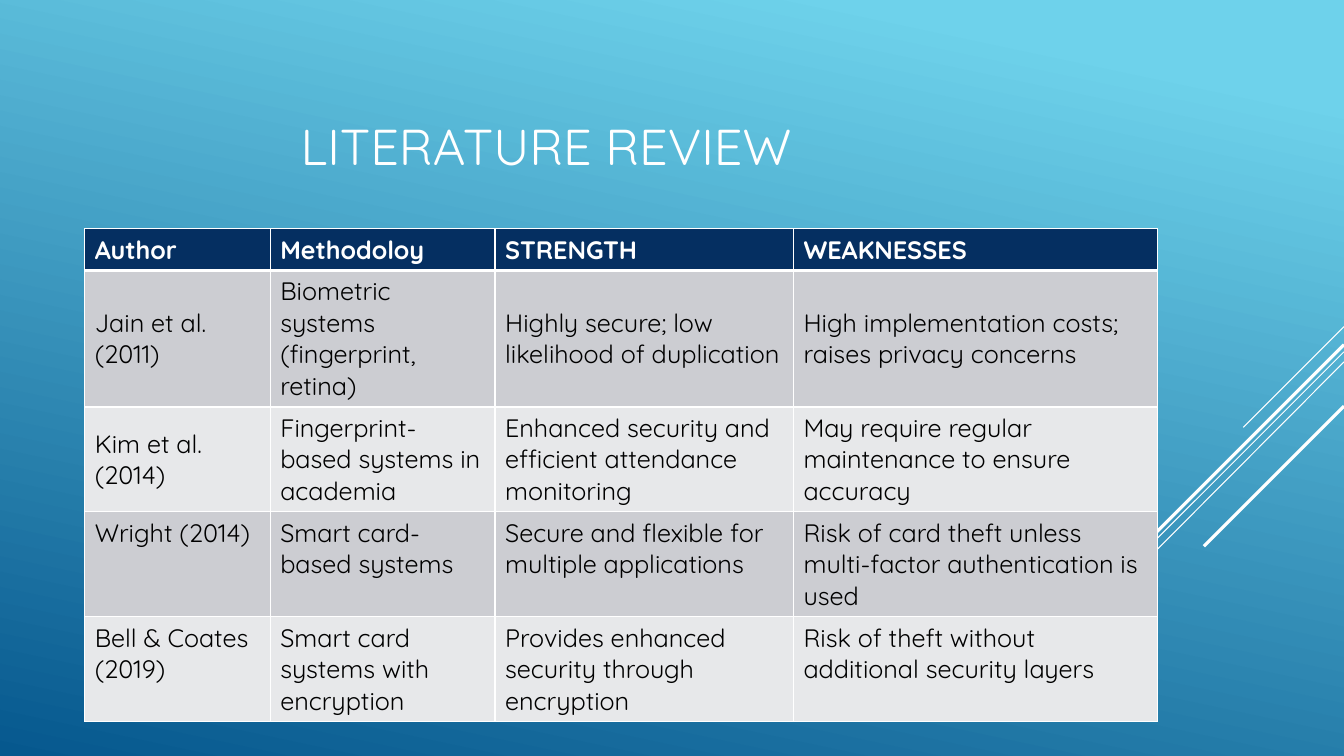
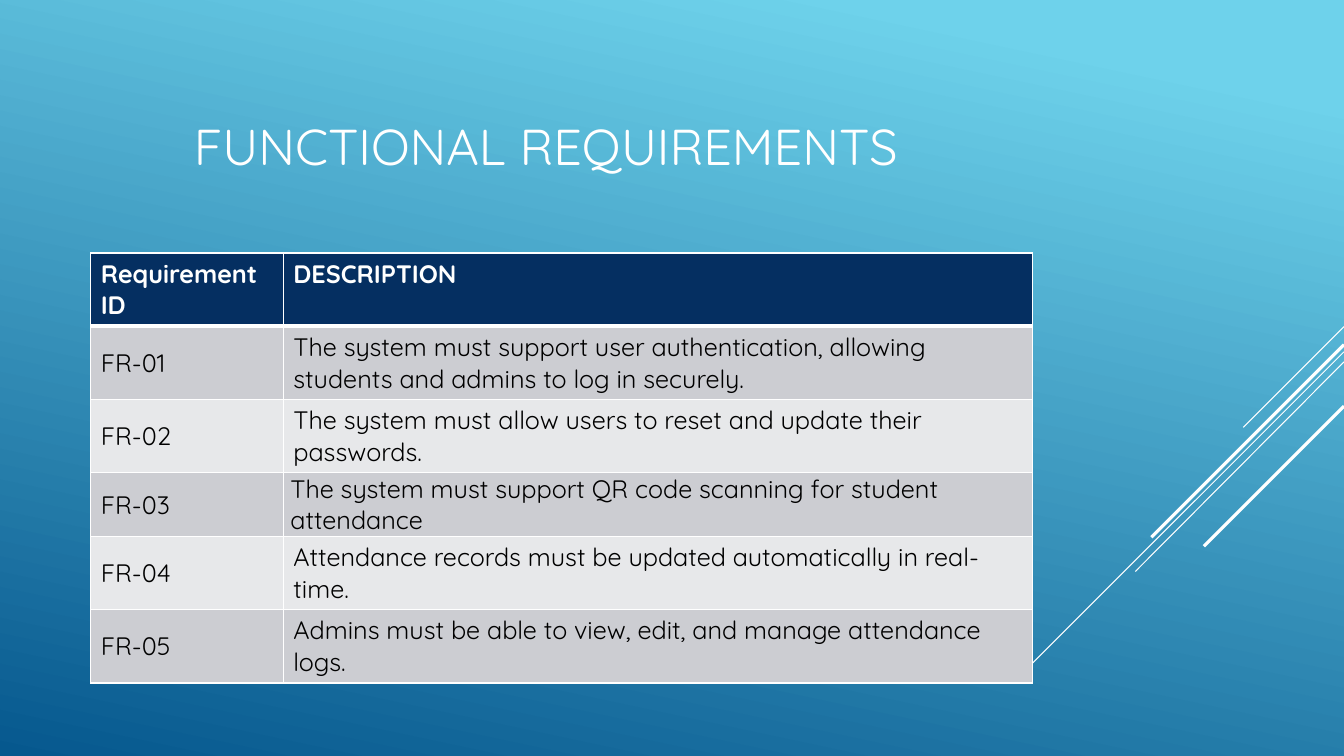
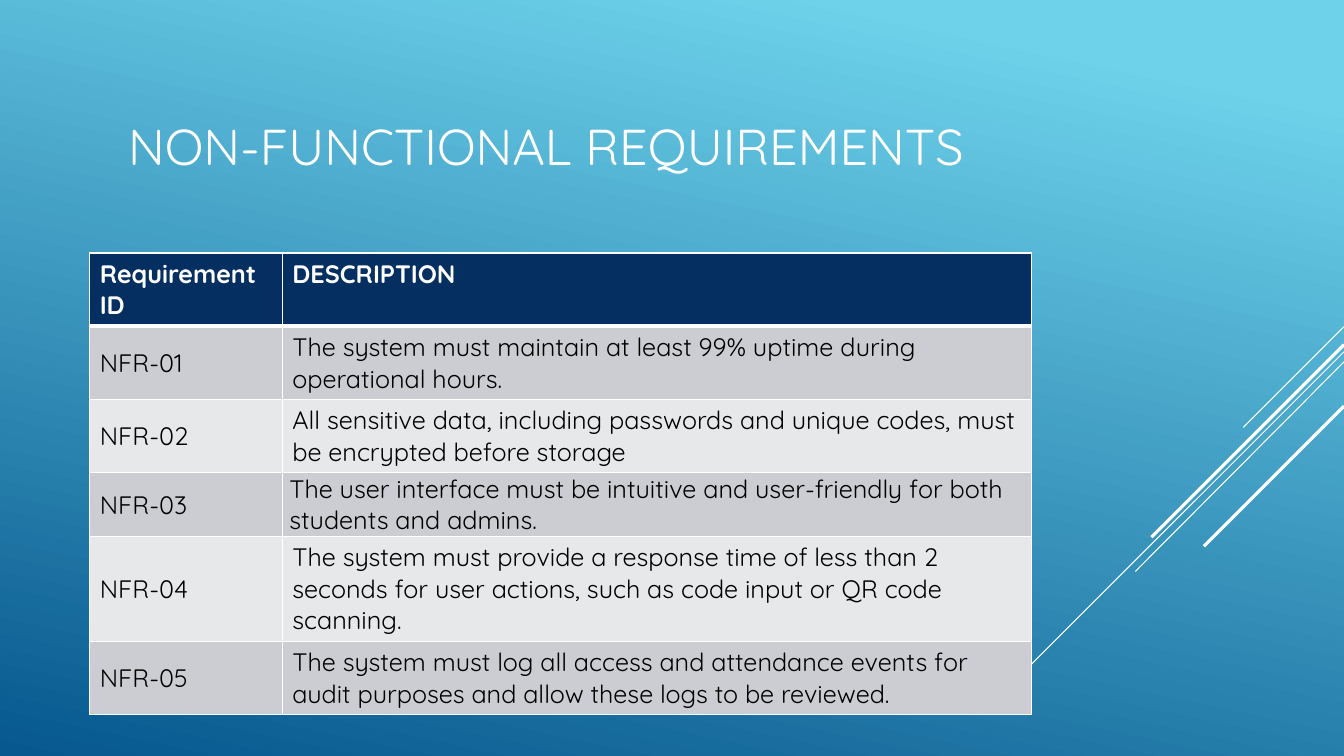
from lxml import etree
from pptx import Presentation
from pptx.dml.color import RGBColor
from pptx.enum.shapes import MSO_CONNECTOR
from pptx.enum.text import MSO_ANCHOR, MSO_AUTO_SIZE, PP_ALIGN
from pptx.oxml.ns import qn
from pptx.util import Pt

WHITE = RGBColor(0xFF, 0xFF, 0xFF)
BLACK = RGBColor(0x00, 0x00, 0x00)
NAVY = RGBColor(0x05, 0x2F, 0x61)
BAND_DARK = RGBColor(0xCC, 0xCD, 0xD2)
BAND_LIGHT = RGBColor(0xE7, 0xE8, 0xEA)
SKY = RGBColor(0x6E, 0xD2, 0xEB)
OCEAN = RGBColor(0x06, 0x58, 0x8E)

STRAIGHT = MSO_CONNECTOR.STRAIGHT
TOP, MIDDLE = MSO_ANCHOR.TOP, MSO_ANCHOR.MIDDLE
CENTER = PP_ALIGN.CENTER
NO_AUTOFIT = MSO_AUTO_SIZE.NONE

FONT = "Quicksand"
EMU_PER_PX = 9144
SLIDE_WIDTH, SLIDE_HEIGHT = 1333, 750
TITLE_ONLY = 5
RAYS = [
    (324, 1233, 424, 0.75),
    (349, 1007, 675, 0.75),
    (359, 1126, 567, 0.75),
    (342, 1142, 533, 2.25),
    (403, 1194, 542, 2.25),
]

LITERATURE = [
    ["Author", "Methodoloy", "STRENGTH", "WEAKNESSES"],
    ["Jain et al. (2011)", "Biometric systems (fingerprint, retina)",
     "Highly secure; low likelihood of duplication",
     "High implementation costs; raises privacy concerns"],
    ["Kim et al. (2014)", "Fingerprint-based systems in academia",
     "Enhanced security and efficient attendance monitoring",
     "May require regular maintenance to ensure accuracy"],
    ["Wright (2014)", "Smart card-based systems",
     "Secure and flexible for multiple applications",
     "Risk of card theft unless multi-factor authentication is used"],
    ["Bell & Coates (2019)", "Smart card systems with encryption",
     "Provides enhanced security through encryption",
     "Risk of theft without additional security layers"],
]
FUNCTIONAL = [
    "The system must support user authentication, allowing students and admins to log in securely.",
    "The system must allow users to reset and update their passwords.",
    "The system must support QR code scanning for student attendance",
    "Attendance records must be updated automatically in real-time.",
    "Admins must be able to view, edit, and manage attendance logs.",
]
NON_FUNCTIONAL = [
    "The system must maintain at least 99% uptime during operational hours.",
    "All sensitive data, including passwords and unique codes, must be encrypted before storage",
    "The user interface must be intuitive and user-friendly for both students and admins.",
    "The system must provide a response time of less than 2 seconds for user actions, "
    "such as code input or QR code scanning.",
    "The system must log all access and attendance events for audit purposes "
    "and allow these logs to be reviewed.",
]


def px(length):
    """Convert px to EMU."""
    return length * EMU_PER_PX


class Deck:
    """Hold the shared style and the current slide."""

    def __init__(self):
        """Set the slide size and the gradient of the master."""
        self.prs = Presentation()
        self.prs.slide_width = px(SLIDE_WIDTH)
        self.prs.slide_height = px(SLIDE_HEIGHT)
        self.slide = None
        backdrop = self.prs.slide_master.background.fill
        backdrop.gradient()
        backdrop.gradient_angle = 360 - 102
        for stop, color, position in zip(backdrop.gradient_stops, (SKY, OCEAN), (0.1, 1)):
            stop.color.rgb = color
            stop.position = position

    def start(self, heading):
        """Add a slide with its rays and title."""
        self.slide = self.prs.slides.add_slide(self.prs.slide_layouts[TITLE_ONLY])
        for ray in RAYS:
            self.ray(*ray)
        title = self.slide.shapes.title
        title.left, title.top, title.width, title.height = map(px, (75, 62, 933, 165))
        frame = title.text_frame
        frame.text = heading
        frame.word_wrap = True
        frame.auto_size = NO_AUTOFIT
        frame.vertical_anchor = MIDDLE
        frame.paragraphs[0].alignment = CENTER
        self.style(frame.paragraphs[0], 36, WHITE, False)

    def style(self, paragraph, size, color, bold):
        """Format the runs of a paragraph."""
        for run in paragraph.runs:
            run.font.name = FONT
            run.font.size = Pt(size)
            run.font.color.rgb = color
            run.font.bold = bold

    def ray(self, start_y, end_x, end_y, weight):
        """Draw a diagonal line from the right edge."""
        ray = self.slide.shapes.add_connector(
            STRAIGHT, px(SLIDE_WIDTH), px(start_y), px(end_x), px(end_y))
        ray.line.color.rgb = WHITE
        ray.line.width = Pt(weight)
        etree.SubElement(ray.element.spPr, qn("a:effectLst"))

    def borders(self, cell, top, bottom):
        """Give a cell white borders, 1 pt at the sides."""
        properties = cell._tc.get_or_add_tcPr()
        for index, (side, weight) in enumerate(
                [("lnL", 1), ("lnR", 1), ("lnT", top), ("lnB", bottom)]):
            border = etree.Element(qn(f"a:{side}"), w=str(Pt(weight)))
            fill = etree.SubElement(border, qn("a:solidFill"))
            etree.SubElement(fill, qn("a:srgbClr"), val=str(WHITE))
            properties.insert(index, border)

    def table(self, left, top, widths, heights, rows, middle):
        """Add a banded table; middle(row, column) tells which cells are centred."""
        grid = self.slide.shapes.add_table(
            len(rows), len(widths), px(left), px(top), px(sum(widths)), px(sum(heights))).table
        for column, width in zip(grid.columns, widths):
            column.width = px(width)
        for r, (texts, height) in enumerate(zip(rows, heights)):
            grid.rows[r].height = px(height)
            header = r == 0
            band = NAVY if header else BAND_DARK if r % 2 else BAND_LIGHT
            for c, text in enumerate(texts):
                cell = grid.cell(r, c)
                cell.text = text
                cell.vertical_anchor = MIDDLE if middle(r, c) else TOP
                cell.fill.solid()
                cell.fill.fore_color.rgb = band
                self.borders(cell, 3 if r == 1 else 1, 3 if header else 1)
                self.style(cell.text_frame.paragraphs[0], 18, WHITE if header else BLACK, header)
        return grid

    def requirements(self, heading, prefix, descriptions, left, heights):
        """Add a slide with a table of numbered requirements."""
        self.start(heading)
        rows = [["Requirement ID", "DESCRIPTION"]]
        rows += [[f"{prefix}-{n:02}", text] for n, text in enumerate(descriptions, 1)]
        grid = self.table(left, 251, [191, 743], heights, rows,
                          lambda r, c: r == 1 or (r > 1 and c == 0))
        tight = grid.cell(3, 1)
        tight.margin_left = tight.margin_right = px(7)
        tight.margin_top = tight.margin_bottom = 0
        tight.text_frame.paragraphs[0].space_after = Pt(8)


def main():
    """Build and save the slides."""
    deck = Deck()
    deck.start("LITERATURE REVIEW")
    deck.table(84, 227, [184, 223, 296, 361], [41, 135, 104, 104, 104], LITERATURE,
               lambda r, c: r in (1, 2) and c != 1)
    deck.requirements("FUNCTIONAL REQUIREMENTS", "FR", FUNCTIONAL, 90,
                      [72, 72, 72, 63, 72, 72])
    deck.requirements("NON-FUNCTIONAL REQUIREMENTS", "NFR", NON_FUNCTIONAL, 89,
                      [72, 72, 72, 63, 104, 72])
    deck.prs.save("out.pptx")


if __name__ == "__main__":
    main()
